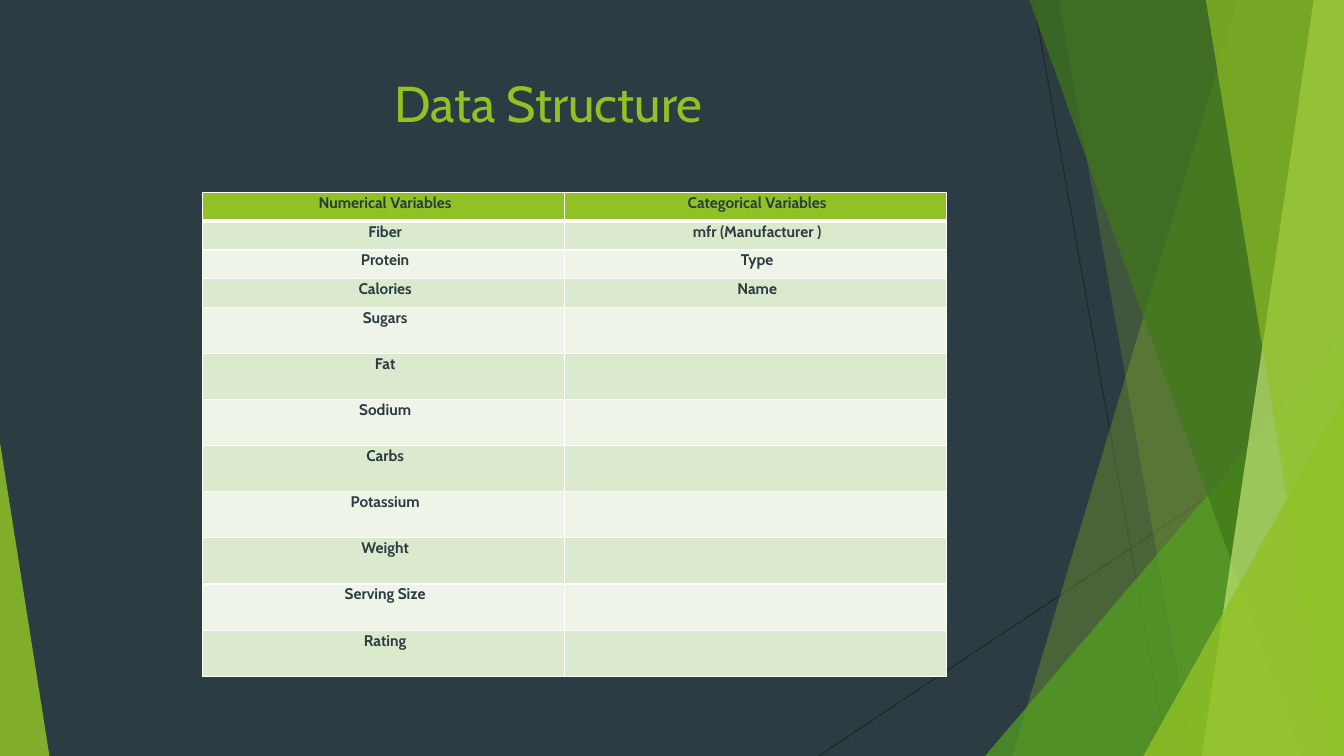
"""Build the Data Structure slide: a table of variables beside green facets."""
from itertools import zip_longest

from lxml import etree
from pptx import Presentation, util as u
from pptx.dml.color import RGBColor
from pptx.enum import shapes, text
from pptx.oxml.ns import qn

W, H = u.Inches(13.33), u.Inches(7.5)
FONT = "Cabin"
COLORS = {
    "slate": "2C3C43", "line": "262626", "lime": "90C226", "green": "54A021",
    "forest": "3F7819", "pale": "C0E474", "white": "FFFFFF",
    "band_dark": "DBE9CD", "band_light": "EEF4E8",
}
NUMERICAL = ["Numerical Variables", "Fiber", "Protein", "Calories", "Sugars", "Fat",
             "Sodium", "Carbs", "Potassium", "Weight", "Serving Size", "Rating"]
CATEGORICAL = ["Categorical Variables", "mfr (Manufacturer )", "Type", "Name"]


def x(percent):
    """Turn a percentage of the slide's width into a length."""
    return u.Emu(round(W * percent / 100))


def y(percent):
    """Turn a percentage of the slide's height into a length."""
    return u.Emu(round(H * percent / 100))


def rgb(name):
    """Look up a named colour."""
    return RGBColor.from_string(COLORS[name])


def paint(sp, color, opacity):
    """Give a shape a translucent fill with no line or shadow."""
    sp.shadow.inherit = False
    sp.line.fill.background()
    sp.fill.solid()
    sp.fill.fore_color.rgb = rgb(color)
    srgb = sp.element.spPr.find(qn("a:solidFill"))[0]
    etree.SubElement(srgb, qn("a:alpha"), val=str(opacity * 1000))


def add_hairline(s, x1, y1, x2, y2):
    """Draw a thin dark line between two points."""
    c = s.shapes.add_connector(shapes.MSO_CONNECTOR.STRAIGHT, x(x1), y(y1), x(x2), y(y2))
    c.line.color.rgb = rgb("line")
    c.line.width = u.Pt(0.75)
    etree.SubElement(c.element.spPr, qn("a:effectLst"))


def add_wedge(s, top, bottom, color, opacity):
    """Fill from a slanted left edge to the slide's right edge."""
    fb = s.shapes.build_freeform(x(top), 0)
    fb.add_line_segments([(W, 0), (W, H), (x(bottom), H)], close=True)
    paint(fb.convert_to_shape(), color, opacity)


def add_corner(s, left, top, width, apex, color, opacity):
    """Stand a triangle on the slide's bottom edge."""
    sp = s.shapes.add_shape(shapes.MSO_SHAPE.ISOSCELES_TRIANGLE,
                            x(left), y(top), x(width), y(100 - top))
    sp.adjustments[0] = apex
    paint(sp, color, opacity)


def style_text(p, size, color, bold=False):
    """Centre a paragraph and set its font."""
    p.alignment = text.PP_ALIGN.CENTER
    p.font.name, p.font.size, p.font.bold = FONT, u.Pt(size), bold
    p.font.color.rgb = rgb(color)


def add_title(s, words):
    """Add the slide title."""
    tf = s.shapes.add_textbox(x(5.55), y(8.93), x(70.52), y(19.2)).text_frame
    tf.word_wrap = True
    tf.text = words
    style_text(tf.paragraphs[0], 36, "lime")


def add_border(cell, side, points):
    """Draw a white border on one side of a cell."""
    ln = etree.SubElement(cell._tc.get_or_add_tcPr(), qn(f"a:ln{side}"), w=str(u.Pt(points)))
    fill = etree.SubElement(ln, qn("a:solidFill"))
    etree.SubElement(fill, qn("a:srgbClr"), val=COLORS["white"])


def fill_cell(cell, words, row):
    """Write, border and shade one table cell."""
    cell.margin_left, cell.margin_top = u.Inches(0.04), u.Inches(0.01)
    cell.margin_right, cell.margin_bottom = u.Inches(0.01), u.Inches(0.09)
    if row == 0:
        cell.vertical_anchor = text.MSO_ANCHOR.BOTTOM
    for side in "LRTB":
        under_header = (row, side) in ((0, "B"), (1, "T"))
        add_border(cell, side, 3 if under_header else 1)
    cell.fill.solid()
    band = "band_dark" if row % 2 else "band_light"
    cell.fill.fore_color.rgb = rgb(band if row else "lime")
    cell.text = words
    style_text(cell.text_frame.paragraphs[0], 11, "slate", True)


def add_variables(s):
    """Add the table of numerical and categorical variables."""
    heights = [3.8 if i < len(CATEGORICAL) else 6.1 for i in range(len(NUMERICAL))]
    widths = [26.93, 28.43]
    tbl = s.shapes.add_table(len(heights), len(widths), x(15.08), y(25.47),
                             x(sum(widths)), y(sum(heights))).table
    tbl.horz_banding = False
    for col, width in zip(tbl.columns, widths):
        col.width = x(width)
    for i, pair in enumerate(zip_longest(NUMERICAL, CATEGORICAL, fillvalue="")):
        tbl.rows[i].height = y(heights[i])
        for j, words in enumerate(pair):
            fill_cell(tbl.cell(i, j), words, i)


def add_facets(s):
    """Layer the green facets along the slide's edges."""
    add_hairline(s, 76.9, 0, 86.87, 100)
    add_hairline(s, 100, 53.73, 60.92, 100)
    add_wedge(s, 92.12, 75.32, "lime", 30)
    add_wedge(s, 78.77, 88.75, "lime", 20)
    add_corner(s, 73.29, 44.4, 26.71, 1, "green", 72)
    add_wedge(s, 76.59, 96.85, "forest", 70)
    add_wedge(s, 97.75, 89.42, "pale", 70)
    add_wedge(s, 89.72, 98.87, "lime", 65)
    add_corner(s, 85.07, 52.4, 14.93, 1, "lime", 80)
    add_corner(s, 0, 58.53, 3.68, 0, "lime", 85)


def main():
    """Build and save the slide."""
    prs = Presentation()
    prs.slide_width, prs.slide_height = W, H
    s = prs.slides.add_slide(prs.slide_layouts[6])
    s.background.fill.solid()
    s.background.fill.fore_color.rgb = rgb("slate")
    add_facets(s)
    add_title(s, "Data Structure")
    add_variables(s)
    prs.save("out.pptx")


if __name__ == "__main__":
    main()
